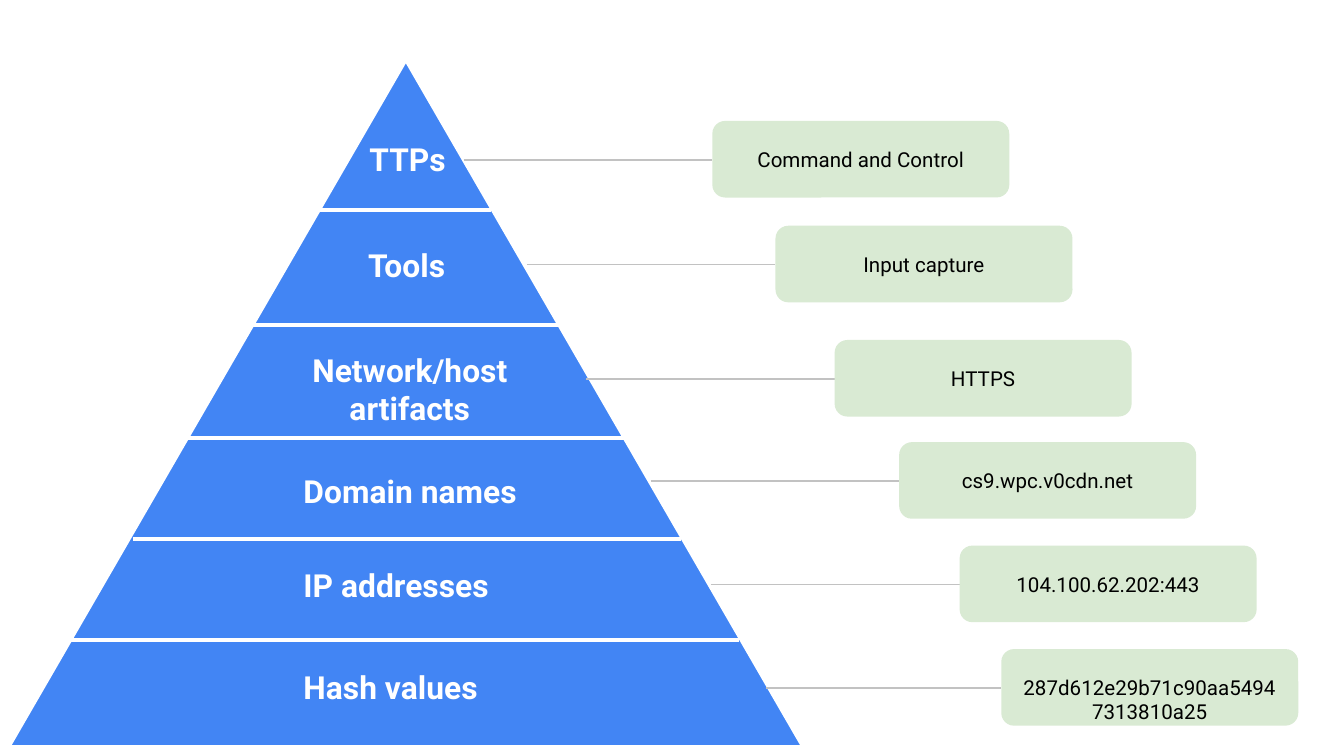
"""Build a slide with a six-level pyramid of indicators and an example for each level."""
from dataclasses import dataclass

from lxml.etree import SubElement
from pptx import Presentation
from pptx.dml.color import RGBColor
from pptx.enum.shapes import MSO_CONNECTOR, MSO_SHAPE
from pptx.enum.text import MSO_ANCHOR, MSO_AUTO_SIZE, PP_ALIGN
from pptx.oxml.ns import qn
from pptx.util import Pt

PX = 9144


@dataclass(frozen=True)
class Theme:
    """Hold the colours, font and sizes of the slide."""
    blue: str = "4285F4"
    green: str = "D9EAD3"
    grey: str = "C2C2C2"
    white: str = "FFFFFF"
    black: str = "000000"
    font: str = "Roboto"
    label: float = 17
    note: float = 11
    thick: float = 2.25
    thin: float = 0.75


THEME = Theme()
INSET = 10
BOX_W, BOX_H = 221, 57
LINK = 185
CUTS = [(238, 365, 156), (188, 417, 242), (139, 464, 326), (99, 507, 401), (53, 550, 476)]
LABELS = [
    ("TTPs", 265, 94, 88, 49, PP_ALIGN.LEFT),
    ("Tools", 264, 173, 88, 49, PP_ALIGN.LEFT),
    ("Network/host artifacts", 196, 251, 218, 77, PP_ALIGN.CENTER),
    ("Domain names", 216, 341, 224, 49, PP_ALIGN.LEFT),
    ("IP addresses", 216, 411, 224, 49, PP_ALIGN.LEFT),
    ("Hash values", 216, 487, 224, 49, PP_ALIGN.LEFT),
]
NOTES = [
    ("Command and Control", 530, 90, LINK, INSET),
    ("Input capture", 577, 168, LINK, INSET),
    ("HTTPS", 621, 253, LINK, INSET),
    ("cs9.wpc.v0cdn.net", 669, 329, LINK, INSET),
    ("104.100.62.202:443", 714, 406, LINK, INSET),
    ("287d612e29b71c90aa54947313810a25", 745, 483, 175, INSET + 18),
]


def px(*sizes):
    """Turn px lengths into EMU."""
    return [size * PX for size in sizes]


def tint(hue):
    """Return the colour for a hex code."""
    return RGBColor.from_string(hue)


def write(shape, text, size, hue, align, bold=False, top=INSET):
    """Put one formatted paragraph into a shape."""
    frame = shape.text_frame
    frame.word_wrap = True
    frame.margin_left = frame.margin_right = frame.margin_bottom = INSET * PX
    frame.margin_top = top * PX
    para = frame.paragraphs[0]
    para.text = text
    para.alignment = align
    font = para.font
    font.name, font.size, font.bold = THEME.font, Pt(size), bold
    font.color.rgb = tint(hue)


def add_form(shapes, kind, area, hue):
    """Add a filled shape without a shadow."""
    form = shapes.add_shape(kind, *px(*area))
    form.shadow.inherit = False
    form.fill.solid()
    form.fill.fore_color.rgb = tint(hue)
    form.line.fill.background()
    return form


def add_line(shapes, kind, left, right, y, hue, width):
    """Add a level connector without a shadow."""
    line = shapes.add_connector(kind, *px(left, y, right, y))
    line.line.color.rgb = tint(hue)
    line.line.width = Pt(width)
    SubElement(line._element.spPr, qn("a:effectLst"))


def add_cone(slide):
    """Add the pyramid and the lines that cut it into levels."""
    shapes = slide.shapes.add_group_shape().shapes
    cone = add_form(shapes, MSO_SHAPE.ISOSCELES_TRIANGLE, (6, 44, 592, 512), THEME.blue)
    cone.line.color.rgb = tint(THEME.white)
    cone.line.width = Pt(THEME.thick)
    for left, right, y in CUTS:
        add_line(shapes, MSO_CONNECTOR.STRAIGHT, left, right, y, THEME.white, THEME.thick)


def add_label(slide, text, left, top, width, height, align):
    """Name a level of the pyramid."""
    box = slide.shapes.add_textbox(*px(left, top, width, height))
    write(box, text, THEME.label, THEME.white, align, bold=True)
    box.text_frame.auto_size = MSO_AUTO_SIZE.SHAPE_TO_FIT_TEXT


def add_note(slide, text, left, top, link, inset):
    """Add an example box and the line that leads to it."""
    shapes = slide.shapes
    mid = top + (BOX_H + 1) // 2
    add_line(shapes, MSO_CONNECTOR.ELBOW, left - link, left, mid, THEME.grey, THEME.thin)
    box = add_form(shapes, MSO_SHAPE.ROUNDED_RECTANGLE, (left, top, BOX_W, BOX_H), THEME.green)
    write(box, text, THEME.note, THEME.black, PP_ALIGN.CENTER, top=inset)
    box.text_frame.vertical_anchor = MSO_ANCHOR.MIDDLE


def main():
    """Build and save the slide."""
    deck = Presentation()
    deck.slide_width = 1000 * PX
    deck.slide_height = deck.slide_width * 9 // 16
    slide = deck.slides.add_slide(deck.slide_layouts[6])
    add_cone(slide)
    for label in LABELS:
        add_label(slide, *label)
    for note in NOTES:
        add_note(slide, *note)
    deck.save("out.pptx")


if __name__ == "__main__":
    main()
